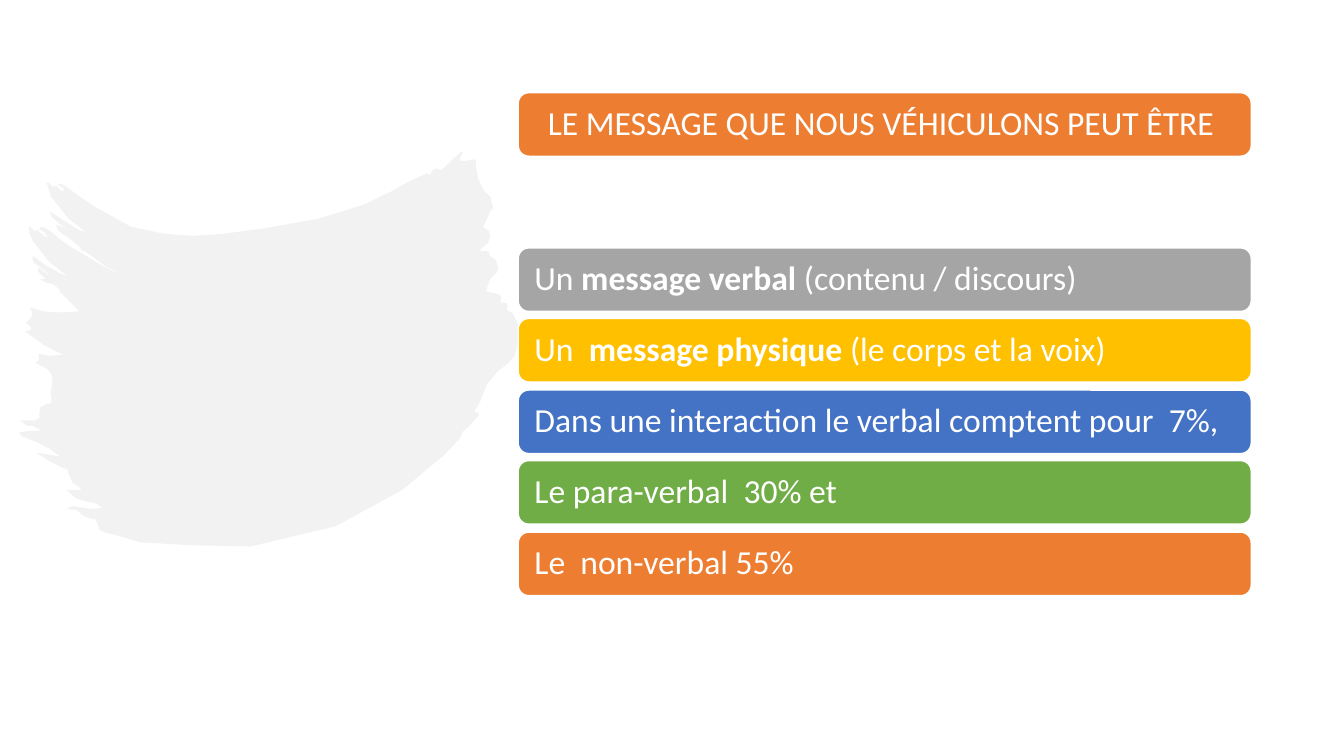
from typing import NamedTuple

from lxml import etree
from pptx import Presentation
from pptx import util as u
from pptx.dml.color import RGBColor
from pptx.enum import shapes, text
from pptx.oxml.ns import qn

PX = 9144  # 100 px to the inch
LEFT, WIDE, HIGH = 514, 727, 63
PAD = 13
TOP = 246
PITCH = 70.5


class Bar(NamedTuple):
    color: str
    lead: str
    bold: str = ""
    tail: str = ""


TITLE = Bar("ED7D31", "LE MESSAGE QUE NOUS VÉHICULONS PEUT ÊTRE ")
BARS = [
    Bar("A5A5A5", "Un ", "message verbal ", "(contenu / discours)"),
    Bar("FFC000", "Un  ", "message physique", " (le corps et la voix)"),
    Bar("4472C4", "Dans une interaction le verbal comptent pour  7%,"),
    Bar("70AD47", "Le para-verbal  30% et"),
    Bar("ED7D31", "Le  non-verbal 55%"),
]

# Outline of the brush stroke, clockwise from its upper right tip, as x,y in px
RIGHT = [
    "458,150 459,152 457,155 456,159 460,160 471,158 472,160 472,167 473,169",
    "474,177 480,189 487,196 487,198 489,206 489,207 486,210 484,215 480,223",
    "479,225 480,226 485,229 486,235 484,241 478,246 475,249 482,249 485,250",
    "485,252 486,254 492,258 494,266 493,270 486,277 482,289 495,292 497,295",
    "496,300 503,301 503,308 508,310 513,320 514,325 514,332 513,344 510,354",
    "503,361 494,368 483,381 476,399 470,409 474,409 475,412 466,422 459,428",
]
BASE = [
    "456,435 441,451 399,486 333,522 249,542 191,541 139,538 123,533 107,529",
    "99,526 96,518 95,515 92,515 83,512 76,506 66,505 72,502 90,505 102,504",
    "94,499 84,497 75,494 66,486 80,486 80,484 72,479 68,470 67,466 62,464",
]
SIDE = [
    "48,457 36,449 48,451 60,453 49,445 35,438 22,433 19,429 25,428 41,427",
    "34,423 26,422 20,417 35,417 39,415 39,411 40,404 46,401 51,400 51,396",
    "50,389 52,381 52,373 47,366 35,360 39,357 38,351 49,353 63,352 43,342",
    "25,329 31,327 31,325 26,320 31,315 32,310 30,305 43,309 57,310 78,309",
    "78,308 67,297 65,295 63,293 59,289 59,287 53,282 45,280 40,277 46,277",
    "41,273 37,268 39,266 44,270 51,274 41,266 33,260 32,254 34,255 45,263",
    "61,272 67,274 49,260 35,242 33,240 30,233 29,232 29,228 28,225 30,225",
]
CROWN = [
    "34,229 36,229 38,228 39,230 45,235 49,235 45,233 45,231 40,228 39,227",
    "40,225 45,226 53,232 64,241 102,264 117,271 117,270 106,265 84,249",
    "82,249 79,246 79,245 72,239 58,229 56,225 57,223 63,226 69,230 58,221",
    "51,215 50,210 53,212 62,218 78,228 85,230 68,217 53,198 51,196 49,190",
    "48,187 48,185 46,182 48,181 52,185 54,185 57,185 59,188 67,192 63,190",
    "63,187 59,184 57,183 59,182 64,184 79,195 94,205 130,225 163,232",
    "192,234 221,232 251,228 260,227 316,217 361,203 390,189 402,182 423,172",
    "426,173 428,173 427,172 429,169 433,167 435,168 438,169 449,158 457,151",
]


def rgb(code: str) -> RGBColor:
    return RGBColor.from_string(code)


def draw_brush(page) -> None:
    rows = RIGHT + BASE + SIDE + CROWN
    pts = [tuple(map(int, pair.split(","))) for row in rows for pair in row.split()]
    pen = page.shapes.build_freeform(*pts[0], scale=PX)
    pen.add_line_segments(pts[1:], close=True)
    brush = pen.convert_to_shape()
    brush.shadow.inherit = False
    brush.line.fill.background()
    brush.fill.solid()
    brush.fill.fore_color.rgb = rgb("E7E6E6")
    tint = brush._element.spPr.find(f"{qn('a:solidFill')}/{qn('a:srgbClr')}")
    etree.SubElement(tint, qn("a:alpha"), val="50000")


def draw_bar(page, bar: Bar, top: int, align: text.PP_ALIGN) -> None:
    box = page.shapes.add_shape(
        shapes.MSO_SHAPE.ROUNDED_RECTANGLE,
        LEFT * PX, top * PX, WIDE * PX, HIGH * PX)
    box.shadow.inherit = False
    box.fill.solid()
    box.fill.fore_color.rgb = rgb(bar.color)
    box.line.color.rgb = rgb("FFFFFF")
    box.line.width = u.Pt(1)
    frame = box.text_frame
    frame.word_wrap = True
    frame.vertical_anchor = text.MSO_ANCHOR.MIDDLE
    frame.margin_left = frame.margin_right = PAD * PX
    frame.margin_top = frame.margin_bottom = PAD * PX
    para = frame.paragraphs[0]
    para.alignment = align
    para.line_spacing = 0.9
    for part in filter(None, (bar.lead, bar.bold, bar.tail)):
        run = para.add_run()
        run.text = part
        run.font.name = "Calibri"
        run.font.size = u.Pt(24)
        run.font.bold = part == bar.bold
        run.font.color.rgb = rgb("FFFFFF")


def main() -> None:
    deck = Presentation()
    deck.slide_width, deck.slide_height = 1333 * PX, 750 * PX
    page = deck.slides.add_slide(deck.slide_layouts[6])
    draw_brush(page)
    draw_bar(page, TITLE, 92, text.PP_ALIGN.CENTER)
    for i, bar in enumerate(BARS):
        draw_bar(page, bar, TOP + int(i * PITCH), text.PP_ALIGN.LEFT)
    deck.save("out.pptx")


if __name__ == "__main__":
    main()
